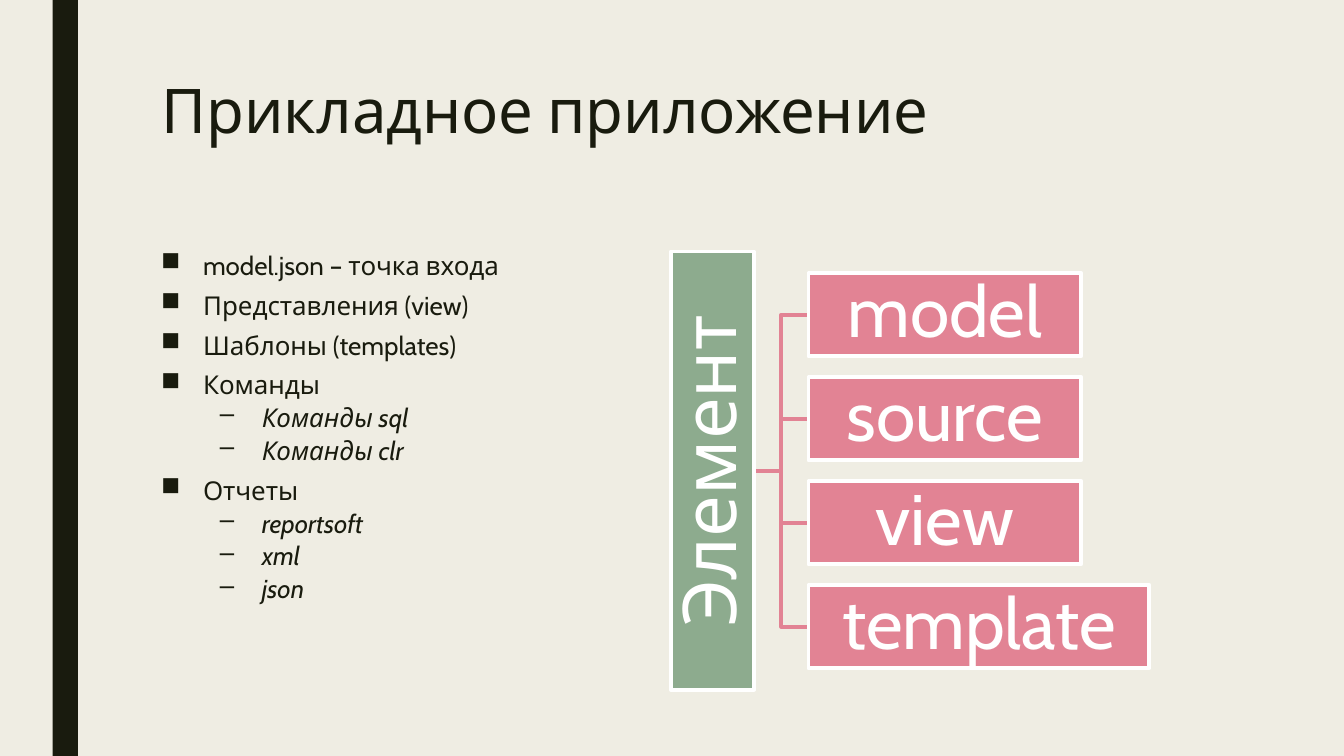
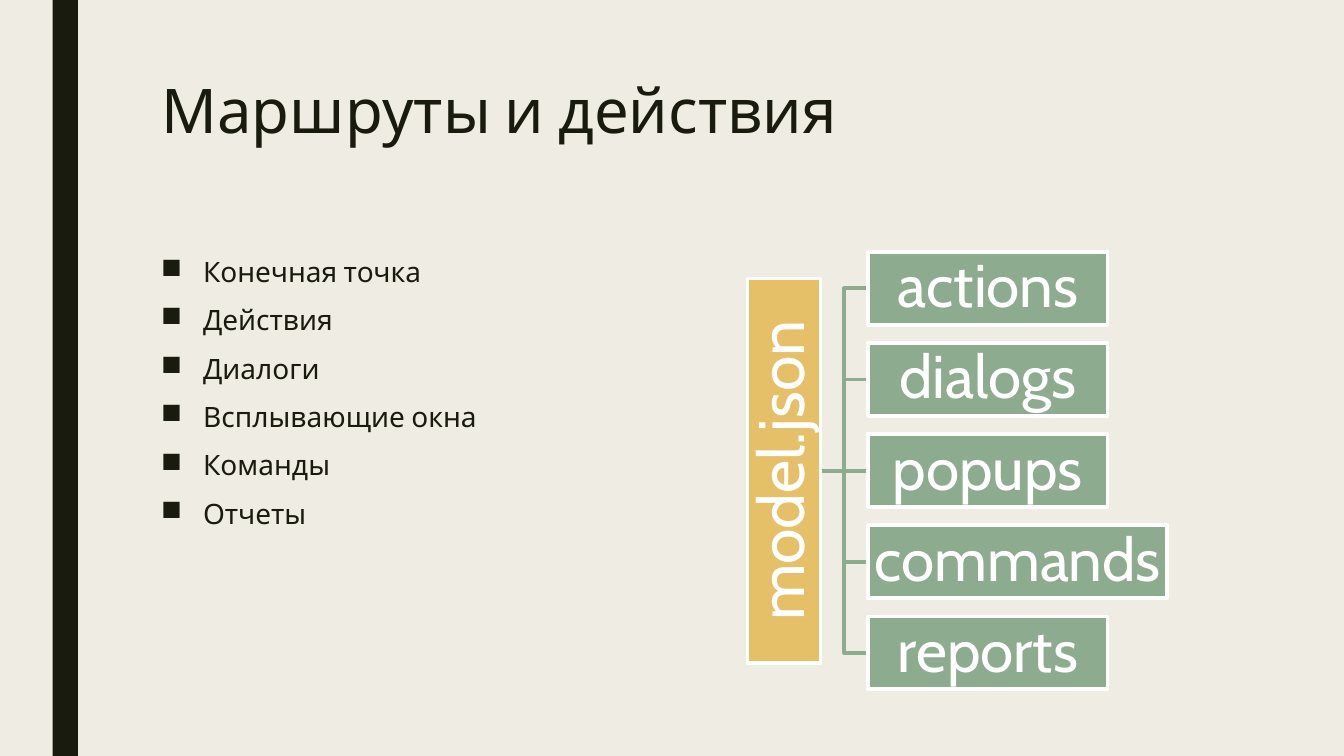
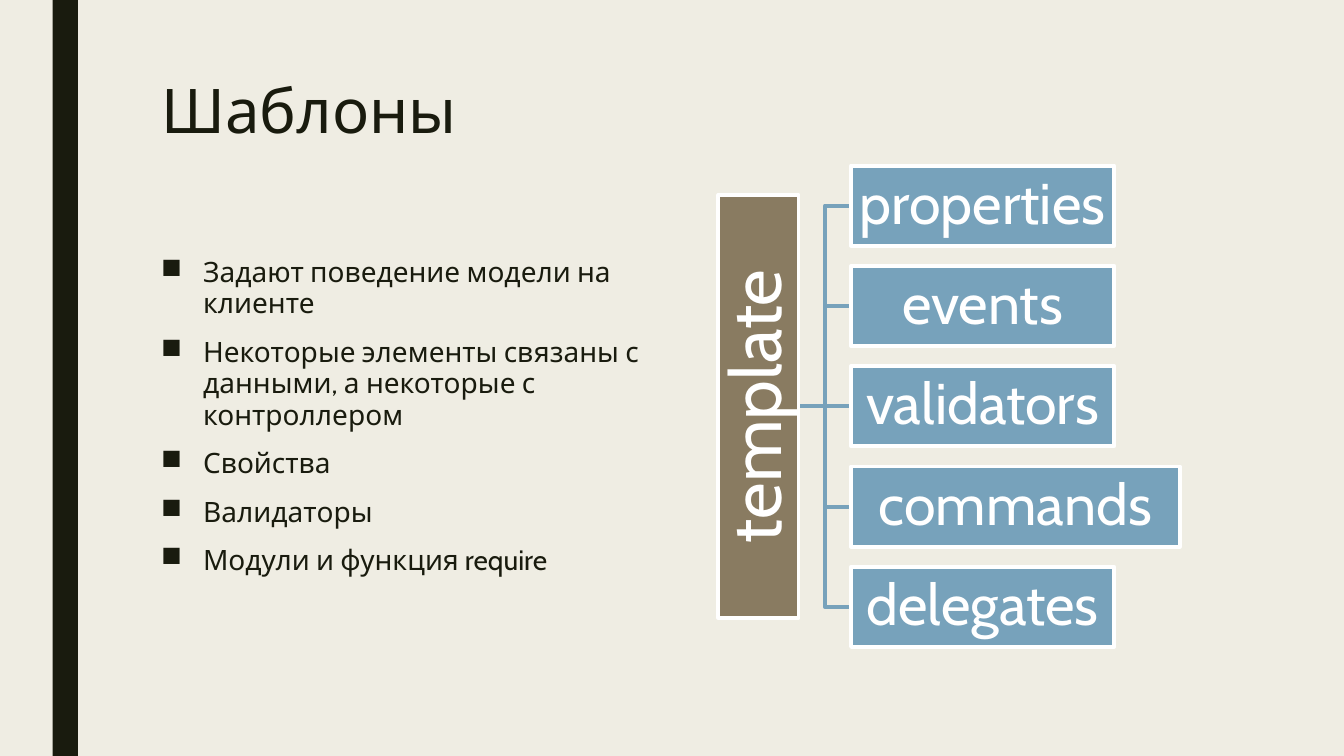
from lxml import etree
from pptx import Presentation
from pptx.dml.color import RGBColor
from pptx.enum.shapes import MSO_CONNECTOR, MSO_SHAPE
from pptx.enum.text import MSO_ANCHOR, PP_ALIGN
from pptx.oxml.ns import qn
from pptx.util import Pt

RECTANGLE = MSO_SHAPE.RECTANGLE
STRAIGHT, ELBOW = MSO_CONNECTOR.STRAIGHT, MSO_CONNECTOR.ELBOW
TOP, MIDDLE = MSO_ANCHOR.TOP, MSO_ANCHOR.MIDDLE
LEFT, CENTER = PP_ALIGN.LEFT, PP_ALIGN.CENTER
LEFT_SIDE, RIGHT_SIDE = 1, 3

# Shared style
FONT = "Cabin"
INK, PAPER, WHITE = "191B0E", "EFEDE3", "FFFFFF"
PINK, GREEN, YELLOW, BROWN, BLUE = "E28394", "8DAB8E", "E6C069", "897B61", "77A2BB"
MARGIN = 108
LINE_WIDTH = 2.75

# Tree proportions, relative to the height of a branch box
ROOT_LENGTH, BRANCH_WIDTH, WIDE_WIDTH = 5.27, 3.28, 4.1
BRANCH_GAP, BRANCH_PITCH = 0.655, 1.25


def color(code):
    return RGBColor.from_string(code)


class Slides:
    """Holds the deck, its style and the current page."""

    def __init__(self):
        self.deck = Presentation()
        self.deck.slide_width, self.deck.slide_height = Pt(960), Pt(540)
        background = self.deck.slide_master.background.fill
        background.solid()
        background.fore_color.rgb = color(PAPER)
        self.page = None

    def new_page(self, title):
        """Start a page with the side band and a title."""
        self.page = self.deck.slides.add_slide(self.deck.slide_layouts[5])
        self.box(37.6, 0, 18, 540, INK)
        holder = self.page.shapes.title
        holder.left, holder.top = Pt(MARGIN), Pt(54)
        holder.width, holder.height = Pt(756), Pt(117)
        frame = holder.text_frame
        frame.text = title
        frame.word_wrap = True
        frame.vertical_anchor = TOP
        self.format(frame.paragraphs[0], 44, INK, LEFT, 0.89)

    def format(self, para, size, ink, align, spacing, italic=False):
        para.alignment = align
        para.line_spacing = spacing
        for span in para.runs:
            span.font.name = FONT
            span.font.size = Pt(size)
            span.font.italic = italic
            span.font.color.rgb = color(ink)

    def box(self, left, top, width, height, fill, outline=None):
        box = self.page.shapes.add_shape(
            RECTANGLE, Pt(left), Pt(top), Pt(width), Pt(height))
        box.shadow.inherit = False
        box.fill.solid()
        box.fill.fore_color.rgb = color(fill)
        if outline:
            box.line.color.rgb = color(outline)
            box.line.width = Pt(LINE_WIDTH)
        else:
            box.line.fill.background()
        return box

    def label_box(self, label, size, *place_and_fill):
        box = self.box(*place_and_fill, WHITE)
        frame = box.text_frame
        frame.text = label
        frame.word_wrap = True
        frame.vertical_anchor = MIDDLE
        frame.margin_left = frame.margin_right = Pt(2.5)
        frame.margin_top = frame.margin_bottom = Pt(2.5)
        self.format(frame.paragraphs[0], size, WHITE, CENTER, 0.9)
        return box

    def bullets(self, items, width, height, size=20, spacing=0.94):
        """List of texts; a tuple holds the second-level texts of the item above."""
        frame = self.page.shapes.add_textbox(
            Pt(MARGIN), Pt(180), Pt(width), Pt(height)).text_frame
        frame.word_wrap = True
        rows = []
        for item in items:
            if isinstance(item, tuple):
                rows += [(text, 1) for text in item]
            else:
                rows.append((item, 0))
        frame.text = "\n".join(text for text, level in rows)
        for para, (text, level) in zip(frame.paragraphs, rows):
            self.format(para, size, INK, LEFT, spacing, italic=level == 1)
            para.level = level
            para.space_before, para.space_after = Pt((10, 5)[level]), Pt(2)
            properties = para._p.get_or_add_pPr()
            properties.set("marL", str(Pt((30, 72)[level])))
            properties.set("indent", str(Pt(-30)))
            bullet = etree.SubElement(properties, qn("a:buChar"))
            bullet.set("char", "■–"[level])

    def join(self, root, branch, ink, kind):
        """Connector from root to branch, placed behind both."""
        line = self.page.shapes.add_connector(kind, 0, 0, 0, 0)
        line.begin_connect(root, RIGHT_SIDE)
        line.end_connect(branch, LEFT_SIDE)
        line.line.color.rgb = color(ink)
        line.line.width = Pt(LINE_WIDTH)
        etree.SubElement(line._element.spPr, qn("a:effectLst"))
        root._element.addprevious(line._element)

    def tree(self, root_label, labels, wide, left, middle, unit,
             root_fill, branch_fill, root_size, branch_size):
        """Upright root box with a centred column of branches to its right."""
        length = ROOT_LENGTH * unit
        root = self.label_box(root_label, root_size, left, middle - length / 2,
                              unit, length, root_fill)
        root.text_frame._txBody.bodyPr.set("vert", "vert270")
        branch_left = left + unit * (1 + BRANCH_GAP)
        for index, label in enumerate(labels):
            offset = index - (len(labels) - 1) / 2
            top = middle + offset * BRANCH_PITCH * unit - unit / 2
            width = unit * (WIDE_WIDTH if label == wide else BRANCH_WIDTH)
            branch = self.label_box(label, branch_size, branch_left, top,
                                    width, unit, branch_fill)
            self.join(root, branch, branch_fill, ELBOW if offset else STRAIGHT)


def main():
    slides = Slides()

    # Application
    slides.new_page("Прикладное приложение")
    slides.bullets(
        ["model.json – точка входа", "Представления (view)", "Шаблоны (templates)",
         "Команды", ("Команды sql", "Команды clr"),
         "Отчеты", ("reportsoft", "xml", "json")],
        756, 282, size=18.5, spacing=0.74)
    slides.tree("Элемент", ["model", "source", "view", "template"], "template",
                479.2, 336.2, 59.4, GREEN, PINK, 53, 51)

    # Routes and actions
    slides.new_page("Маршруты и действия")
    slides.bullets(
        ["Конечная точка", "Действия", "Диалоги", "Всплывающие окна",
         "Команды", "Отчеты"], 290, 220)
    slides.tree("model.json", ["actions", "dialogs", "popups", "commands", "reports"],
                "commands", 534, 336.2, 52.1, YELLOW, GREEN, 46, 43)

    # Templates
    slides.new_page("Шаблоны")
    slides.tree("template",
                ["properties", "events", "validators", "commands", "delegates"],
                "commands", 513.1, 290.2, 57.3, BROWN, BLUE, 51, 41)
    slides.bullets(
        ["Задают поведение модели на клиенте",
         "Некоторые элементы связаны с данными, а некоторые с контроллером",
         "Свойства", "Валидаторы", "Модули и функция require"], 359, 244)

    slides.deck.save("out.pptx")


if __name__ == "__main__":
    main()
